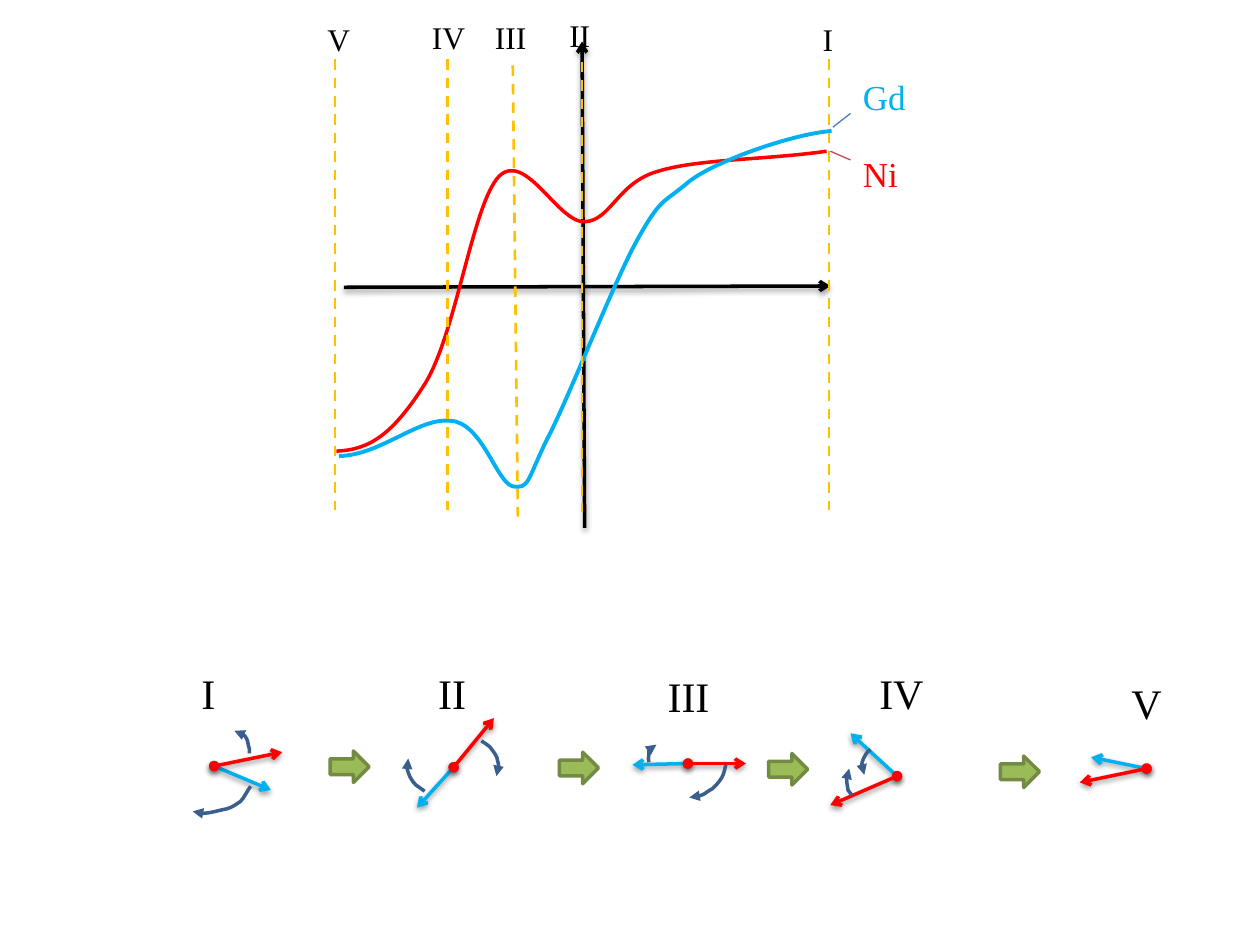
from pptx import Presentation
from pptx.dml.color import RGBColor
from pptx.enum.dml import MSO_LINE
from pptx.enum.shapes import MSO_CONNECTOR, MSO_SHAPE
from pptx.enum.text import MSO_AUTO_SIZE
from pptx.oxml import parse_xml
from pptx.oxml.ns import nsdecls, qn
from pptx.util import Pt

STRAIGHT = MSO_CONNECTOR.STRAIGHT
RIGHT_ARROW = MSO_SHAPE.RIGHT_ARROW
DASH = MSO_LINE.DASH
FIT_TEXT = MSO_AUTO_SIZE.SHAPE_TO_FIT_TEXT

PX = 9144  # 100 px to the inch
COLORS = {
    "black": "000000", "ni": "FF0000", "gd": "00B0F0", "guide": "FFC000",
    "gd_leader": "4B7EBC", "ni_leader": "BF4C48", "turn": "3A5F8C",
    "step": "9BBB59", "step_edge": "738A42",
}
SHADOW = (
    f'<a:effectLst {nsdecls("a")}><a:outerShdw blurRad="40000" dist="20000" '
    'dir="5400000" rotWithShape="0"><a:srgbClr val="000000">'
    '<a:alpha val="38000"/></a:srgbClr></a:outerShdw></a:effectLst>'
)
NO_EFFECT = f'<a:effectLst {nsdecls("a")}/>'


def rgb(name):
    return RGBColor.from_string(COLORS[name])


class Sketch:
    font = "Times New Roman"

    def __init__(self, slide):
        self.slide = slide
        self.shapes = slide.shapes

    def start_group(self):
        self.shapes = self.slide.shapes.add_group_shape().shapes

    def outline(self, shape, color, width, head=None, tail=None):
        shape.line.color.rgb = rgb(color)
        shape.line.width = Pt(width)
        ln = shape._element.spPr.find(qn("a:ln"))
        for tag, kind in (("headEnd", head), ("tailEnd", tail)):
            if kind:
                ln.append(parse_xml(f'<a:{tag} {nsdecls("a")} type="{kind}"/>'))

    def line(self, start, end, color, width, head=None, tail=None, shadow=False):
        line = self.shapes.add_connector(STRAIGHT, *(PX * v for v in (*start, *end)))
        self.outline(line, color, width, head, tail)
        line._element.spPr.append(parse_xml(SHADOW if shadow else NO_EFFECT))
        return line

    def guide(self, start, end):
        self.line(start, end, "guide", 1.5).line.dash_style = DASH

    def curve(self, start, curves, color, width, tail=None):
        """Draw cubic curves, each given as two control points and an end."""
        builder = self.shapes.build_freeform(*start, scale=PX)
        builder.add_line_segments([p for points in curves for p in points], close=False)
        curve = builder.convert_to_shape()
        # Turn each three straight segments into one cubic curve
        segments = list(curve._element.iter(qn("a:lnTo")))
        for first in range(0, len(segments), 3):
            cubic = parse_xml(f'<a:cubicBezTo {nsdecls("a")}/>')
            segments[first].addprevious(cubic)
            for segment in segments[first:first + 3]:
                cubic.append(segment[0])
                segment.getparent().remove(segment)
        curve.shadow.inherit = False
        curve.fill.background()
        self.outline(curve, color, width, tail=tail)

    def text(self, words, left, top, width, height, size, color="black"):
        box = self.shapes.add_textbox(*(PX * v for v in (left, top, width, height)))
        frame = box.text_frame
        frame.word_wrap = True
        frame.auto_size = FIT_TEXT
        para = frame.paragraphs[0]
        para.text = words
        para.font.name = self.font
        para.font.size = Pt(size)
        para.font.color.rgb = rgb(color)

    def step_arrow(self, left, top):
        arrow = self.shapes.add_shape(RIGHT_ARROW, PX * left, PX * top, PX * 31, PX * 25)
        arrow.shadow.inherit = False
        arrow.fill.solid()
        arrow.fill.fore_color.rgb = rgb("step")
        self.outline(arrow, "step_edge", 2)


NI_CURVE = ((656, 120), [
    ((607, 127), (554, 126), (522, 136)), ((490, 145), (485, 175), (464, 176)),
    ((443, 177), (417, 119), (396, 140)), ((375, 162), (362, 265), (337, 305)),
    ((312, 344), (294, 357), (267, 358))])
GD_CURVE = ((660, 104), [
    ((631, 106), (569, 127), (547, 144)), ((526, 162), (525, 156), (506, 190)),
    ((487, 224), (451, 317), (434, 349)), ((418, 382), (420, 388), (407, 386)),
    ((394, 383), (383, 336), (358, 334)), ((332, 331), (303, 361), (269, 362))])

# Label, its left, top and width, pivot, Gd tip, Ni tip, turning arcs
STAGES = [
    ("I", 150, 525, 30, (170, 608), (215, 627), (224, 597), [
        ((198, 598), [((198, 595), (198, 593), (197, 591)),
                      ((197, 588), (195, 584), (193, 583)),
                      ((191, 581), (189, 580), (186, 580))]),
        ((199, 624), [((196, 628), (194, 633), (191, 636)),
                      ((188, 638), (186, 640), (180, 642)),
                      ((174, 643), (160, 648), (153, 644))])]),
    ("II", 338, 525, 46, (360, 609), (331, 641), (392, 570), [
        ((382, 588), [((385, 590), (387, 591), (389, 593)),
                      ((391, 596), (395, 600), (395, 604)),
                      ((396, 608), (396, 612), (394, 616))]),
        ((337, 628), [((335, 626), (332, 625), (330, 623)),
                      ((328, 621), (325, 617), (324, 613)),
                      ((323, 610), (322, 606), (324, 602))])]),
    ("III", 520, 527, 63, (546, 606), (502, 607), (592, 606), [
        ((576, 607), [((575, 611), (575, 613), (573, 617)),
                      ((571, 620), (567, 626), (562, 628)),
                      ((558, 631), (553, 633), (547, 633))]),
        ((515, 605), [((515, 603), (514, 601), (515, 599)),
                      ((515, 597), (515, 594), (516, 593)),
                      ((517, 591), (519, 590), (521, 591))])]),
    ("IV", 688, 525, 62, (712, 616), (675, 582), (659, 639), [
        ((691, 595), [((689, 596), (688, 597), (687, 599)),
                      ((686, 601), (684, 604), (684, 607)),
                      ((684, 610), (684, 612), (686, 615))]),
        ((676, 631), [((675, 629), (674, 629), (673, 627)),
                      ((673, 625), (672, 622), (672, 619)),
                      ((672, 616), (672, 614), (674, 610))])]),
    ("V", 888, 533, 62, (910, 610), (866, 601), (857, 621), []),
]


def draw_graph(sketch):
    sketch.start_group()
    # Axes
    for start, end in (((273, 228), (659, 227)), ((464, 419), (462, 33))):
        sketch.line(start, end, "black", 2, tail="arrow", shadow=True)
    # Ni curve and the guide through its peak
    sketch.curve(*NI_CURVE, "ni", 2)
    sketch.guide((407, 52), (411, 410))
    # Region labels
    for words, left, top, width, height in (
            ("I", 643, 11, 25, 30), ("III", 383, 9, 46, 40),
            ("IV", 333, 9, 59, 40), ("V", 250, 11, 49, 40)):
        sketch.text(words, left, top, width, height, 18)
    # Curve names with leaders
    for words, top, color, leader, start, end in (
            ("Gd", 55, "gd", "gd_leader", (675, 90), (661, 101)),
            ("Ni", 116, "ni", "ni_leader", (675, 127), (659, 120))):
        sketch.line(start, end, leader, 0.75)
        sketch.text(words, 675, top, 67, 44, 20, color)
    # Gd curve, then the remaining guides
    sketch.curve(*GD_CURVE, "gd", 2.25)
    sketch.guide((462, 49), (462, 406))
    sketch.text("II", 442, 8, 37, 30, 18)
    for x in (658, 355, 266):
        sketch.guide((x, 47), (x, 405))


def draw_stages(sketch):
    sketch.start_group()
    for words, left, top, width, pivot, gd_tip, ni_tip, arcs in STAGES:
        sketch.text(words, left, top, width, 50, 24)
        for tip, color in ((gd_tip, "gd"), (ni_tip, "ni")):
            sketch.line(pivot, tip, color, 2, head="oval", tail="arrow", shadow=True)
        for arc in arcs:
            sketch.curve(*arc, "turn", 2, tail="triangle")
    # Arrows from stage to stage
    for left, top in ((262, 596), (444, 597), (610, 598), (794, 600)):
        sketch.step_arrow(left, top)


def main():
    deck = Presentation()
    deck.slide_width, deck.slide_height = 1000 * PX, 750 * PX
    sketch = Sketch(deck.slides.add_slide(deck.slide_layouts[6]))
    draw_graph(sketch)
    draw_stages(sketch)
    deck.save("out.pptx")


if __name__ == "__main__":
    main()
